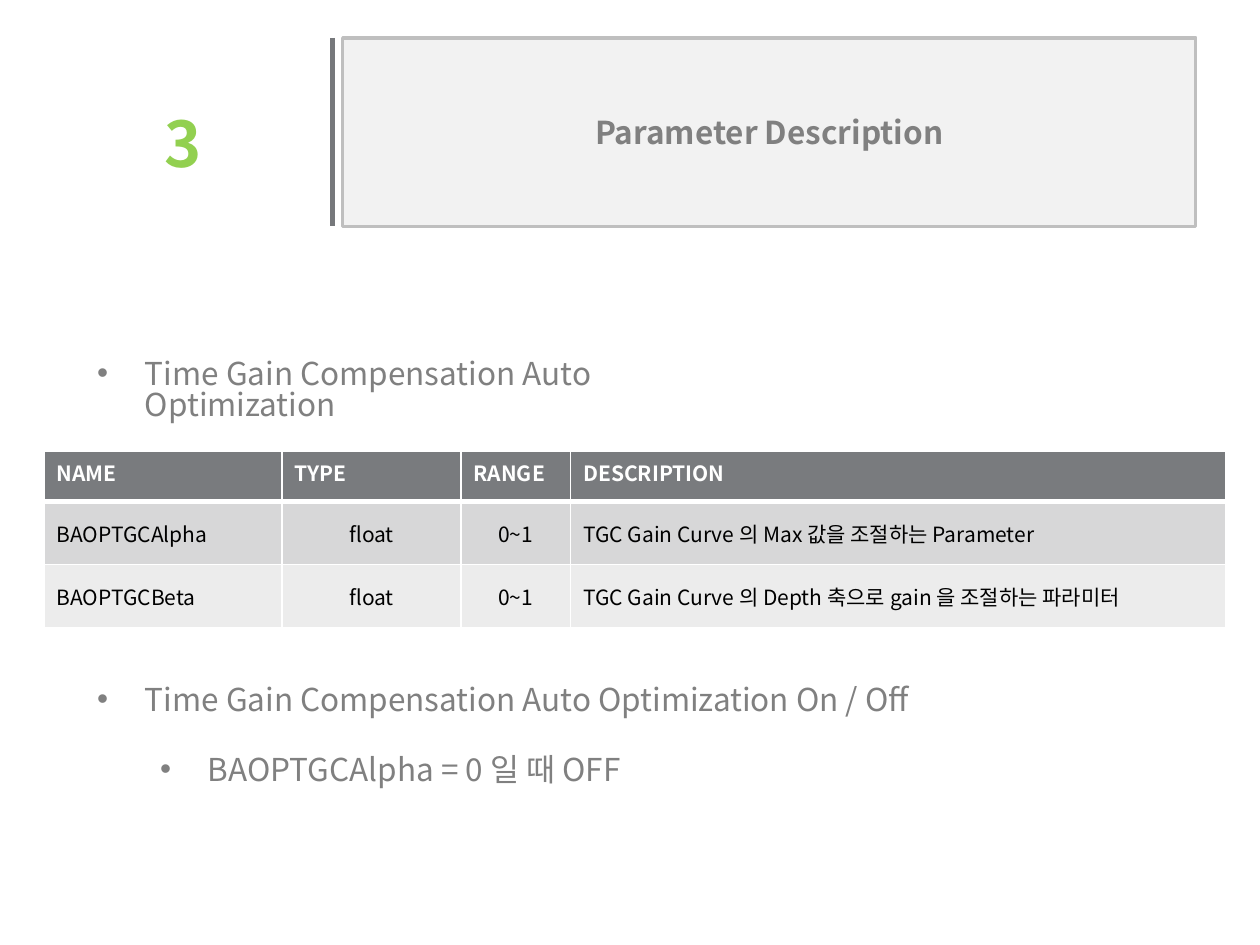
from lxml import etree
from pptx import Presentation, util as u
from pptx.dml.color import RGBColor
from pptx.enum import shapes, text
from pptx.oxml import ns

GREEN = RGBColor(0x92, 0xD0, 0x50)
GREY = RGBColor(0x80, 0x80, 0x80)
RULE = RGBColor(0x76, 0x78, 0x7B)
PANEL = RGBColor(0xF2, 0xF2, 0xF2)
PANEL_EDGE = RGBColor(0xBF, 0xBF, 0xBF)
HEADER = RGBColor(0x79, 0x7B, 0x7E)
BANDS = [RGBColor(0xD7, 0xD7, 0xD8), RGBColor(0xEC, 0xEC, 0xEC)]
WHITE = RGBColor(0xFF, 0xFF, 0xFF)
BLACK = RGBColor(0, 0, 0)
COLUMNS, ROWS = 100, 75
LEFT, CENTER = text.PP_ALIGN.LEFT, text.PP_ALIGN.CENTER
MIDDLE, TOP = text.MSO_ANCHOR.MIDDLE, text.MSO_ANCHOR.TOP


def assign(target, values):
    """Set every attribute named in a dict of format values."""
    for name, value in values.items():
        setattr(target, name, value)


def add_xml(parent, tag, **attributes):
    """Append a DrawingML element and return it."""
    return etree.SubElement(parent, ns.qn(tag), attributes)


class SlideBuilder:
    """Hold the style and the current slide."""

    font = "Noto Sans CJK KR"

    def __init__(self, presentation, layout):
        """Add a slide and measure the grid on it."""
        self.slide = presentation.slides.add_slide(presentation.slide_layouts[layout])
        self.column = presentation.slide_width / COLUMNS
        self.row = presentation.slide_height / ROWS

    def box(self, left, top, width, height):
        """Turn grid lengths into slide lengths."""
        return [round(left * self.column), round(top * self.row),
                round(width * self.column), round(height * self.row)]

    def place(self, shape, area):
        """Move a shape to an area of the grid."""
        assign(shape, dict(zip(("left", "top", "width", "height"), self.box(*area))))

    def add_text(self, paragraph, wording, size, color, bold=False, align=LEFT):
        """Add one formatted run to a paragraph."""
        paragraph.alignment = align
        run = paragraph.add_run()
        run.text = wording
        assign(run.font, {"name": self.font, "size": u.Pt(size), "bold": bold})
        run.font.color.rgb = color
        add_xml(run.font._element, "a:ea", typeface=self.font)

    def title(self, wording, area):
        """Fill the title placeholder with the section number."""
        shape = self.slide.shapes.title
        self.place(shape, area)
        assign(shape.text_frame, {"vertical_anchor": text.MSO_ANCHOR.BOTTOM,
                                  "margin_bottom": u.Inches(0.35),
                                  "auto_size": text.MSO_AUTO_SIZE.NONE})
        self.add_text(shape.text_frame.paragraphs[0], wording, 36, GREEN, True, CENTER)

    def bullets(self, index, items, area):
        """Fill a body placeholder with (level, wording) items."""
        shape = self.slide.placeholders[index]
        self.place(shape, area)
        frame = shape.text_frame
        assign(frame, {"word_wrap": True, "auto_size": text.MSO_AUTO_SIZE.NONE})
        for number, (level, wording) in enumerate(items):
            paragraph = frame.add_paragraph() if number else frame.paragraphs[0]
            assign(paragraph, {"level": level, "line_spacing": 0.82,
                               "space_before": u.Pt(22 if number else 0)})
            properties = paragraph._p.get_or_add_pPr()
            properties.set("marL", str(u.Inches(0.38 + 0.5 * level)))
            properties.set("indent", str(u.Inches(-0.38)))
            add_xml(properties, "a:buFont", typeface="Arial")
            add_xml(properties, "a:buChar", char="•")
            self.add_text(paragraph, wording, 18, GREY)

    def panel(self, wording, area):
        """Draw a bordered rectangle with a centred heading."""
        shape = self.slide.shapes.add_shape(shapes.MSO_SHAPE.RECTANGLE, *self.box(*area))
        shape.shadow.inherit = False
        shape.fill.solid()
        shape.fill.fore_color.rgb = PANEL
        shape.line.color.rgb = PANEL_EDGE
        shape.line.width = u.Pt(2)
        shape.text_frame.vertical_anchor = MIDDLE
        self.add_text(shape.text_frame.paragraphs[0], wording, 18, GREY, True, CENTER)

    def rule(self, left, top, height):
        """Draw a vertical line."""
        x, y, _, length = self.box(left, top, 0, height)
        line = self.slide.shapes.add_connector(
            shapes.MSO_CONNECTOR.STRAIGHT, x, y, x, y + length)
        line.line.color.rgb = RULE
        line.line.width = u.Pt(3)
        add_xml(line._element.spPr, "a:effectLst")

    def cell(self, cell, wording, row, align):
        """Format one table cell by its row."""
        header = row == 0
        properties = cell._tc.get_or_add_tcPr()
        for side in ("lnL", "lnR", "lnT", "lnB"):
            thick = 3 if (header and side == "lnB") or (row == 1 and side == "lnT") else 1
            border = add_xml(properties, f"a:{side}", w=str(u.Pt(thick)))
            add_xml(add_xml(border, "a:solidFill"), "a:srgbClr", val=str(WHITE))
        cell.fill.solid()
        cell.fill.fore_color.rgb = HEADER if header else BANDS[(row - 1) % 2]
        cell.vertical_anchor = TOP if header else MIDDLE
        self.add_text(cell.text_frame.paragraphs[0], wording, 12,
                      WHITE if header else BLACK, header, LEFT if header else align)

    def table(self, records, left, top, widths, heights, aligns):
        """Add a table with a header row and banded records."""
        area = self.box(left, top, sum(widths), sum(heights))
        table = self.slide.shapes.add_table(len(records), len(widths), *area).table
        for column, width in zip(table.columns, widths):
            column.width = round(width * self.column)
        for row, height in zip(table.rows, heights):
            row.height = round(height * self.row)
        for row, record in enumerate(records):
            for column, wording in enumerate(record):
                self.cell(table.cell(row, column), wording, row, aligns[column])


def main():
    """Build the parameter slide."""
    presentation = Presentation()
    assign(presentation, {"slide_width": u.Inches(10), "slide_height": u.Inches(7.5)})
    builder = SlideBuilder(presentation, layout=3)
    builder.title("3", (5, 3, 19, 14.8))
    builder.rule(26.4, 3, 14.9)
    builder.panel("Parameter Description", (27.2, 3, 67.7, 15))
    builder.bullets(1, [(0, "Time Gain Compensation Auto Optimization")],
                    (6.7, 28.1, 56, 7))
    builder.table(
        [("NAME", "TYPE", "RANGE", "DESCRIPTION"),
         ("BAOPTGCAlpha", "float", "0~1", "TGC Gain Curve 의 Max 값을 조절하는 Parameter"),
         ("BAOPTGCBeta", "float", "0~1",
          "TGC Gain Curve 의 Depth 축으로 gain 을 조절하는 파라미터")],
        3.5, 35.8, (18.9, 14.2, 8.7, 52), (4, 5, 5), (LEFT, CENTER, CENTER, LEFT))
    builder.bullets(2, [(0, "Time Gain Compensation Auto Optimization On / Off"),
                        (1, "BAOPTGCAlpha = 0 일 때 OFF")],
                    (6.7, 54, 67.4, 10.1))
    presentation.save("out.pptx")


main()
